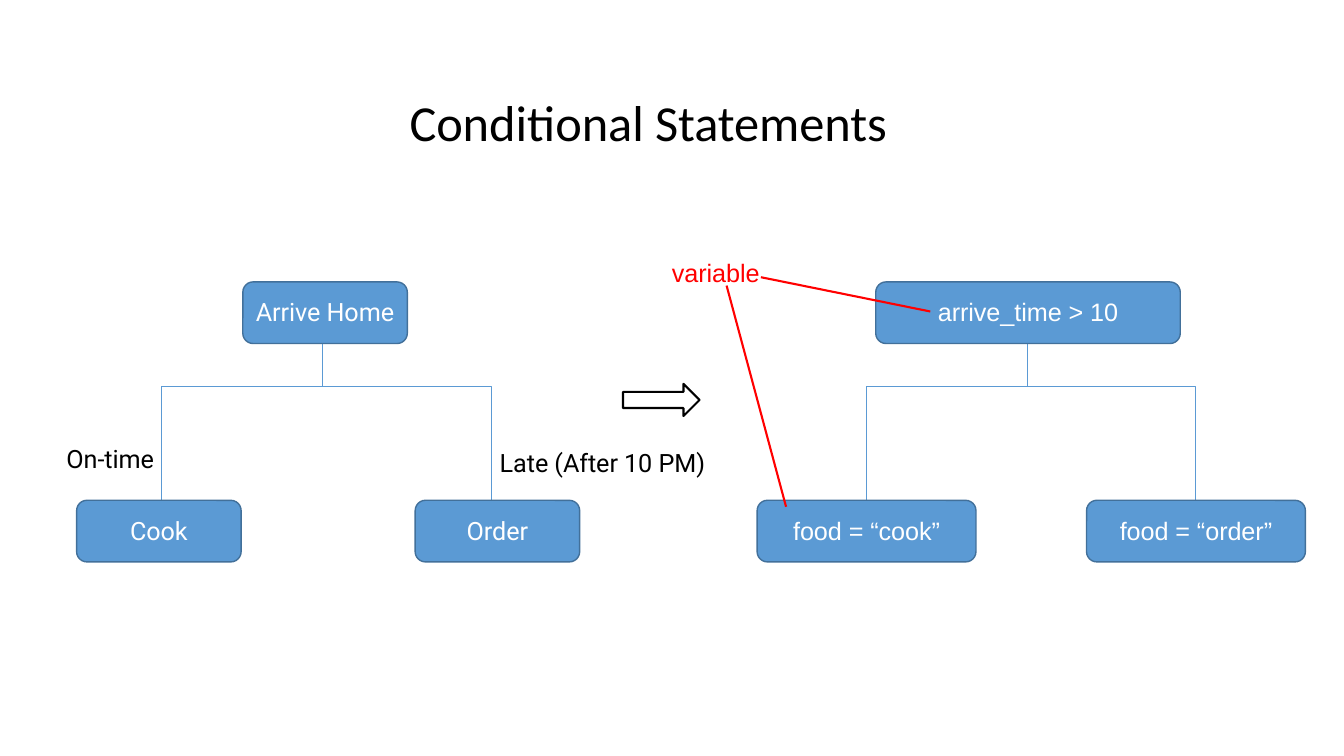
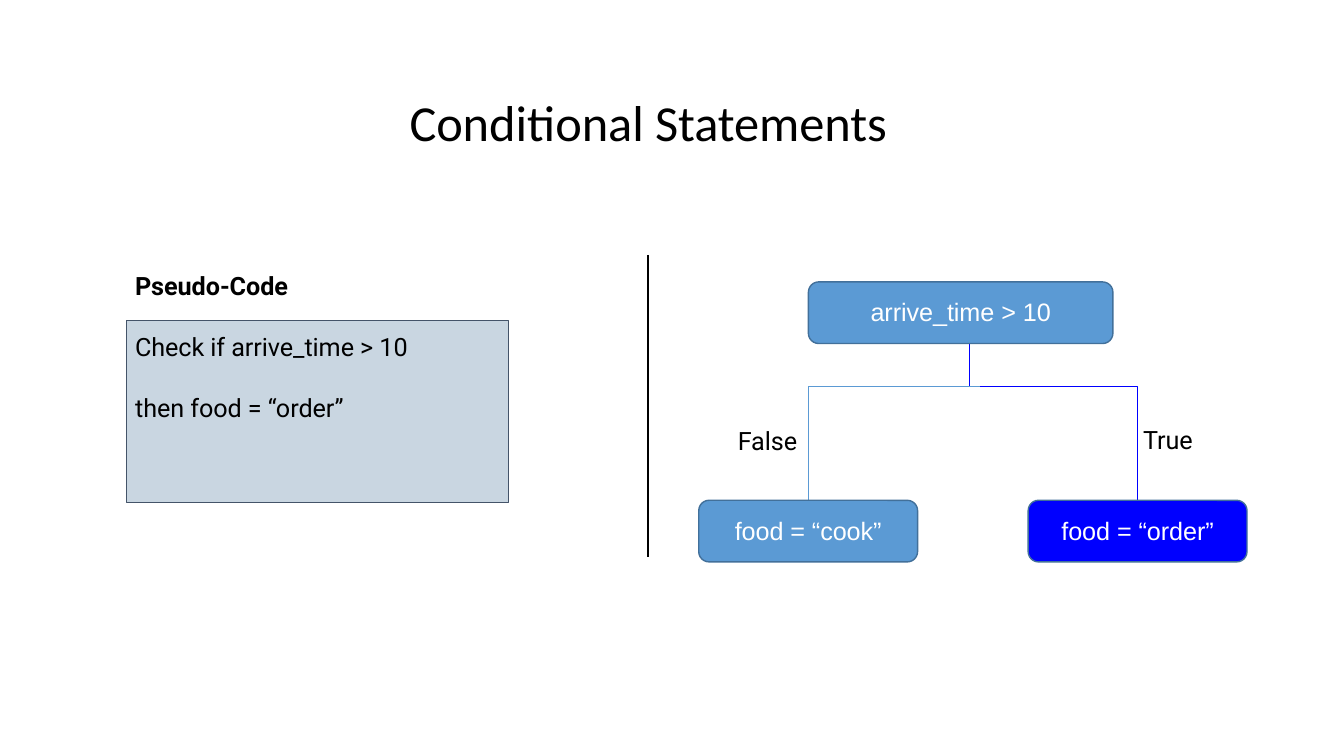
from lxml.etree import SubElement
from pptx import Presentation
from pptx.dml.color import RGBColor
from pptx.enum.shapes import MSO_CONNECTOR, MSO_SHAPE
from pptx.enum.text import MSO_ANCHOR, MSO_AUTO_SIZE, PP_ALIGN
from pptx.oxml.ns import qn
from pptx.util import Pt

BLACK = RGBColor(0, 0, 0)
WHITE = RGBColor(255, 255, 255)
RED = RGBColor(255, 0, 0)
BLUE = RGBColor(0, 0, 255)
SKY = RGBColor(0x5B, 0x9A, 0xD4)
STEEL = RGBColor(0x42, 0x70, 0x9A)
NAVY = RGBColor(0x0B, 0x46, 0x79)
SLATE = RGBColor(0x44, 0x54, 0x69)

ROOT_TOP, LEAF_TOP, BAR_TOP = 201.4, 357.4, 276
BOX_HIGH = 44
LEFT_ARM, RIGHT_ARM, JOINT = 115, 120.3, 7.5


def style(frame, size, font, color, align=PP_ALIGN.LEFT, bold=False):
    for para in frame.paragraphs:
        para.alignment = align
        for run in para.runs:
            run.font.size = Pt(size)
            run.font.name = font
            run.font.bold = bold
            run.font.color.rgb = color
            run._r.get_or_add_rPr().set("spc", "-5")


def inset(frame, left=0, top=1, bottom=0):
    frame.margin_left, frame.margin_top = Pt(left), Pt(top)
    frame.margin_right, frame.margin_bottom = 0, Pt(bottom)
    frame.word_wrap = True


def start(deck):
    slide = deck.slides.add_slide(deck.slide_layouts[5])
    title = slide.shapes.title
    title.left, title.top = Pt(292.5), Pt(63.5)
    title.width, title.height = Pt(376.5), Pt(45)
    frame = title.text_frame
    frame.text = "Conditional Statements"
    frame.auto_size = MSO_AUTO_SIZE.NONE
    frame.vertical_anchor = MSO_ANCHOR.MIDDLE
    inset(frame)
    style(frame, 36, "Calibri", BLACK)
    return slide


def label(slide, text, left, top, width, font="Roboto", color=BLACK, bold=False):
    box = slide.shapes.add_textbox(Pt(left), Pt(top), Pt(width), Pt(24))
    box.text_frame.text = text
    inset(box.text_frame)
    style(box.text_frame, 18, font, color, bold=bold)


def line(slide, x1, y1, x2, y2, color, weight=0.75):
    link = slide.shapes.add_connector(
        MSO_CONNECTOR.STRAIGHT, Pt(x1), Pt(y1), Pt(x2), Pt(y2))
    link.line.color.rgb = color
    link.line.width = Pt(weight)
    SubElement(link._element.spPr, qn("a:effectLst"))


def fork(slide, color, *strokes):
    pen = slide.shapes.build_freeform()
    for stroke in strokes:
        first, *rest = [(Pt(x), Pt(y)) for x, y in stroke]
        pen.move_to(*first)
        pen.add_line_segments(rest, close=False)
    item = pen.convert_to_shape()
    item.shadow.inherit = False
    item.fill.background()
    item.line.color.rgb = color
    item.line.width = Pt(0.75)


def shape(slide, kind, left, top, width, height, edge, weight):
    item = slide.shapes.add_shape(
        kind, Pt(left), Pt(top), Pt(width), Pt(height))
    item.shadow.inherit = False
    item.line.color.rgb = edge
    item.line.width = Pt(weight)
    return item


def node(slide, text, mid, top, width, font, fill=SKY):
    box = shape(slide, MSO_SHAPE.ROUNDED_RECTANGLE,
                mid - width / 2, top, width, BOX_HIGH, STEEL, 1)
    box.fill.solid()
    box.fill.fore_color.rgb = fill
    frame = box.text_frame
    frame.text = text
    frame.vertical_anchor = MSO_ANCHOR.MIDDLE
    inset(frame, top=0, bottom=1.2)
    style(frame, 18, font, WHITE, PP_ALIGN.CENTER)


def tree(slide, stem, root, leaves, font, path=SKY, leaf=SKY):
    left, right, joint = stem - LEFT_ARM, stem + RIGHT_ARM, stem + JOINT
    trunk = [(stem, ROOT_TOP + BOX_HIGH), (stem, BAR_TOP)]
    bar = [(joint, BAR_TOP), (left, BAR_TOP)]
    fork(slide, path, [(joint, BAR_TOP), (right, BAR_TOP), (right, LEAF_TOP)])
    line(slide, left, BAR_TOP, left, LEAF_TOP, SKY)
    if path == SKY:
        fork(slide, SKY, bar, trunk)
    else:
        line(slide, *bar[0], *bar[1], SKY)
        line(slide, *trunk[0], *trunk[1], path)
    text, mid, width = root
    node(slide, text, mid, ROOT_TOP, width, font)
    for (text, mid, width), fill in zip(leaves, (SKY, leaf)):
        node(slide, text, mid, LEAF_TOP, width, font, fill)


def code_tree(slide, stem, mid, path=SKY, leaf=SKY):
    leaves = [("food = “cook”", stem - LEFT_ARM, 156.3),
              ("food = “order”", stem + RIGHT_ARM, 156.3)]
    tree(slide, stem, ("arrive_time > 10", mid, 217.5), leaves, "Arial", path, leaf)


def panel(slide, lines):
    box = shape(slide, MSO_SHAPE.RECTANGLE, 90.5, 229, 273, 130, SLATE, 0.75)
    box.fill.solid()
    box.fill.fore_color.rgb = NAVY
    tint = box._element.spPr.find(qn("a:solidFill"))[0]
    SubElement(tint, qn("a:alpha")).set("val", "22000")
    frame = box.text_frame
    frame.text = "\n".join(lines)
    frame.vertical_anchor = MSO_ANCHOR.TOP
    inset(frame, 6, 7.5)
    for para in frame.paragraphs[1:]:
        para.space_before = Pt(22)
    style(frame, 18, "Roboto", BLACK)


def flow(deck):
    slide = start(deck)
    leaves = [("Cook", 113.5, 117.5), ("Order", 355.3, 117.5)]
    tree(slide, 230.5, ("Arrive Home", 232.2, 117.5), leaves, "Roboto")
    label(slide, "On-time", 47.5, 315.5, 66)
    label(slide, "Late (After 10 PM)", 357, 318.5, 152)
    arrow = shape(slide, MSO_SHAPE.RIGHT_ARROW, 445, 274.2, 54.7, 23, BLACK, 1.5)
    arrow.fill.background()
    code_tree(slide, 734, 734.3)
    label(slide, "variable", 480, 183, 66, "Arial", RED)
    line(slide, 519, 204, 561.5, 362, RED, 1.5)
    line(slide, 543.5, 198, 664.5, 222.5, RED, 1.5)


def pseudo(deck):
    slide = start(deck)
    label(slide, "Pseudo-Code", 96.5, 192, 132, bold=True)
    panel(slide, ["Check if arrive_time > 10", "then food = “order”"])
    line(slide, 463, 182, 463, 398, BLACK, 1.5)
    code_tree(slide, 692.3, 686.2, BLUE, BLUE)
    label(slide, "False", 527, 302.5, 46)
    label(slide, "True", 816.5, 302, 40)


def main():
    deck = Presentation()
    deck.slide_width, deck.slide_height = Pt(960), Pt(540)
    flow(deck)
    pseudo(deck)
    deck.save("out.pptx")


if __name__ == "__main__":
    main()
